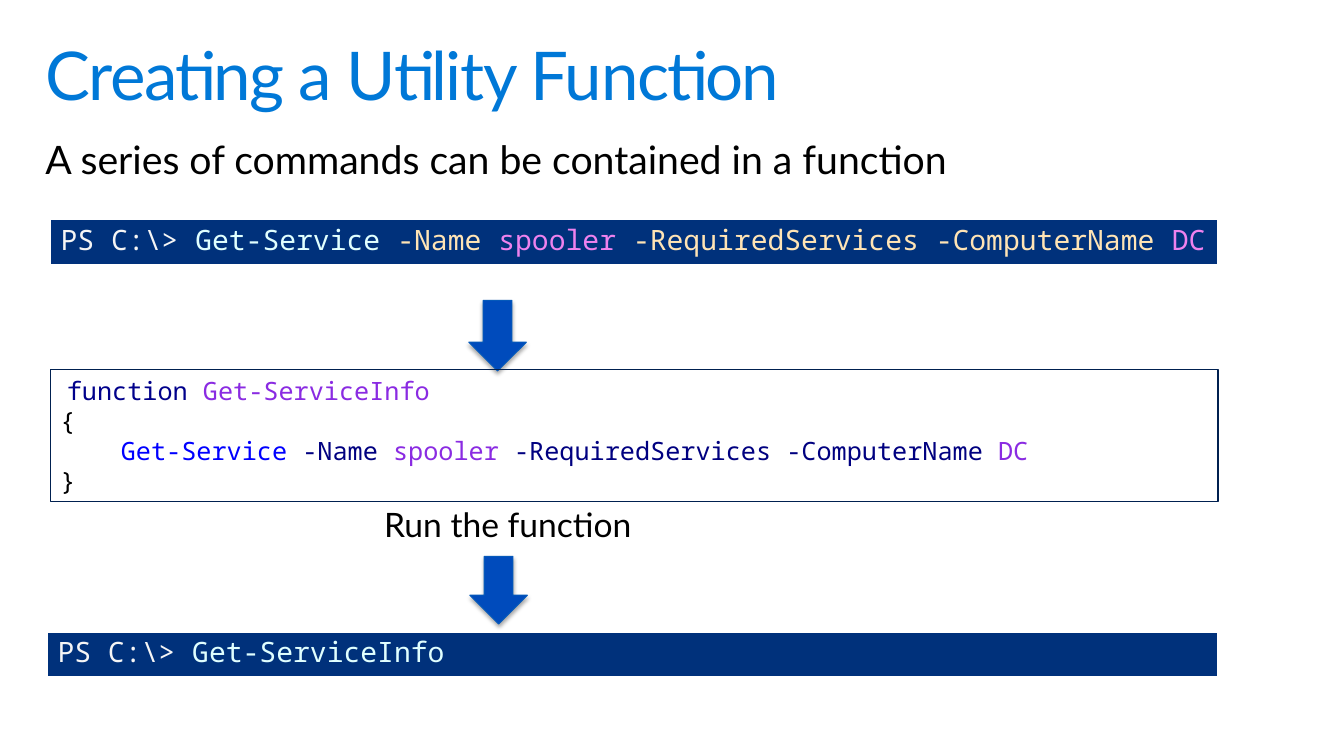
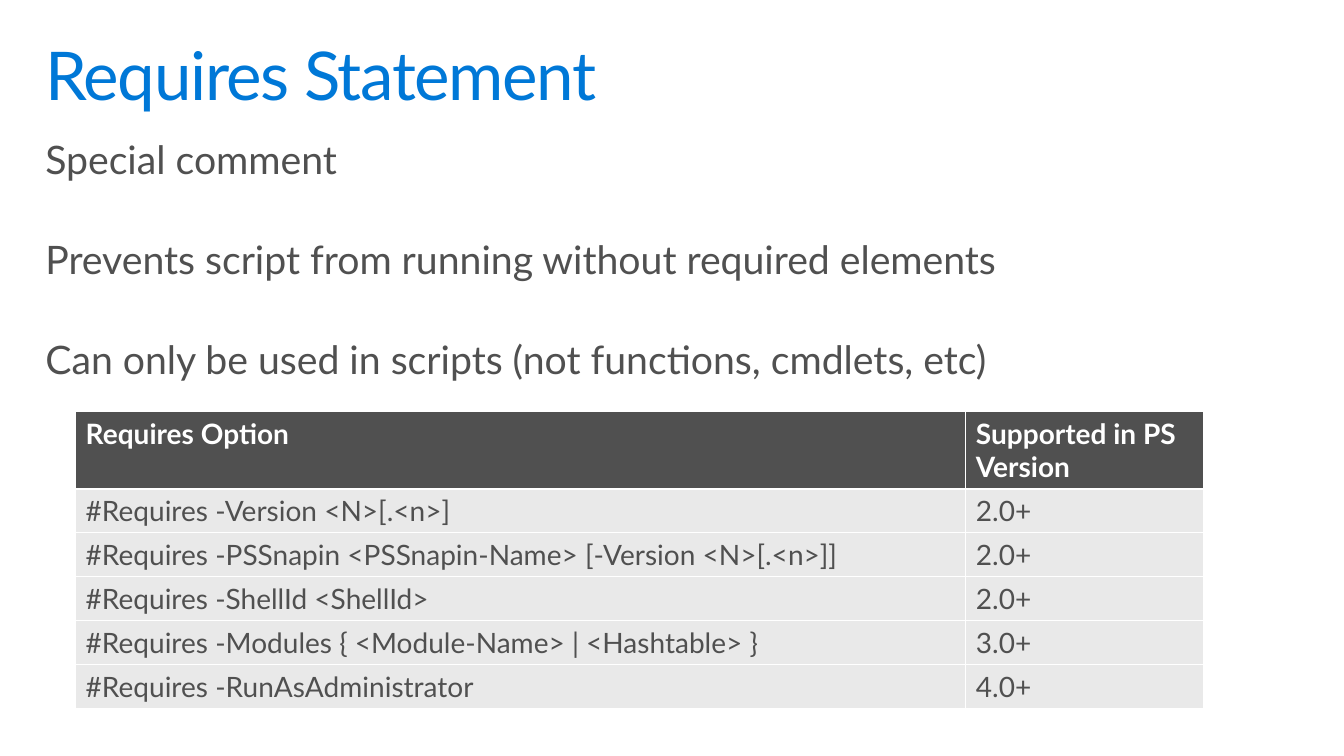
from lxml import etree
from pptx import Presentation
from pptx.dml.color import RGBColor
from pptx.enum.shapes import MSO_SHAPE
from pptx.enum.text import MSO_ANCHOR, MSO_AUTO_SIZE, PP_ALIGN
from pptx.oxml.ns import qn
from pptx.util import Inches, Pt

LEFT, TOP = PP_ALIGN.LEFT, MSO_ANCHOR.TOP
FIXED = MSO_AUTO_SIZE.NONE
RECT, ARROW = MSO_SHAPE.RECTANGLE, MSO_SHAPE.DOWN_ARROW

# Shared look
SANS, MONO = "Lato", "Noto Sans Mono"
WHITE = RGBColor(0xFF, 0xFF, 0xFF)
BLACK = RGBColor(0x00, 0x00, 0x00)
GRAY = RGBColor(0x50, 0x50, 0x50)
PALE = RGBColor(0xE9, 0xE9, 0xE9)
SKY = RGBColor(0x00, 0x78, 0xD7)
BLUE = RGBColor(0x00, 0x4B, 0xBC)
EDGE = RGBColor(0x05, 0x59, 0xBA)
FRAME = RGBColor(0x00, 0x20, 0x50)

# Console colours
SHELL = RGBColor(0x00, 0x31, 0x7B)
SMOKE = RGBColor(0xF5, 0xF5, 0xF5)
CYAN = RGBColor(0xE0, 0xFF, 0xFF)
CREAM = RGBColor(0xFF, 0xE4, 0xB5)
PINK = RGBColor(0xEE, 0x82, 0xEE)

# Script colours
WORD = RGBColor(0x00, 0x00, 0x8B)
CALL = RGBColor(0x00, 0x00, 0xFF)
FLAG = RGBColor(0x00, 0x00, 0x80)
VALUE = RGBColor(0x8A, 0x2B, 0xE2)

# Boxes are left, top, width, height in inches; parts are percentages of a box
PAGE = (0, 0, 13.33, 7.5)
HEAD = (2.18, 4.27, 95.65, 13.07)


def part(box, x, y, w, h):
    left, top, wide, high = box
    return (left + wide * x / 100, top + high * y / 100,
            wide * w / 100, high * h / 100)


def emu(box):
    return [Inches(side) for side in box]


def style(para, size, color, name=SANS, bold=False):
    font = para.font
    font.name, font.size, font.bold = name, Pt(size), bold
    font.color.rgb = color
    para.alignment = LEFT


def code(para, tokens, size):
    """Write (text, colour) tokens as one line of code."""
    for text, color in tokens:
        run = para.add_run()
        run.text = text
        run.font.color.rgb = color
    para.line_spacing = Pt(size * 1.2)
    style(para, size, BLACK, MONO)


def command(call, flag, value):
    return [("Get-Service ", call), ("-Name ", flag), ("spooler ", value),
            ("-RequiredServices -ComputerName ", flag), ("DC", value)]


# Title and body text
def fill(holder, box, lines, size, color, gap=0):
    holder.left, holder.top, holder.width, holder.height = emu(box)
    frame = holder.text_frame
    frame.word_wrap, frame.auto_size = True, FIXED
    frame.vertical_anchor = TOP
    frame.margin_left = frame.margin_right = Inches(0.16)
    frame.margin_top = frame.margin_bottom = Inches(0.1)
    frame.text = "\n".join(lines)
    for row, para in enumerate(frame.paragraphs):
        props = para._p.get_or_add_pPr()
        props.set("marL", "0")
        props.set("indent", "0")
        para.line_spacing = 0.9
        para.space_before = Pt(gap if row else 0)
        etree.SubElement(props, qn("a:buNone"))
        style(para, size, color)


def start(deck, title, lines, color, high):
    slide = deck.slides.add_slide(deck.slide_layouts[1])
    head, body = slide.placeholders
    fill(head, part(PAGE, *HEAD), [title], 48, SKY)
    for run in head.text_frame.paragraphs[0].runs:
        run._r.get_or_add_rPr().set("spc", "-100")
    fill(body, part(PAGE, 2.18, 17.33, 95.57, high), lines, 28, color, 41)
    return slide


# Shapes
def block(slide, kind, box, back=None, edge=None):
    shape = slide.shapes.add_shape(kind, *emu(box))
    shape.shadow.inherit = False
    if back is None:
        shape.fill.background()
    else:
        shape.fill.solid()
        shape.fill.fore_color.rgb = back
    if edge is None:
        shape.line.fill.background()
    else:
        shape.line.color.rgb = edge
        shape.line.width = Pt(0.75)
    shape.text_frame.word_wrap = True
    shape.text_frame.vertical_anchor = TOP
    return shape


def arrow(slide, box):
    shape = block(slide, ARROW, box, BLUE, EDGE)
    effects = shape._element.spPr.find(qn("a:effectLst"))
    shade = etree.SubElement(effects, qn("a:outerShdw"), blurRad=str(Pt(3.1)),
                             dist=str(Pt(1.8)), dir="5400000", rotWithShape="0")
    tint = etree.SubElement(shade, qn("a:srgbClr"), val="000000")
    etree.SubElement(tint, qn("a:alpha"), val="35000")


def label(slide, box, text):
    frame = block(slide, RECT, box, WHITE).text_frame
    frame.text = text
    style(frame.paragraphs[0], 24, BLACK)


def script(slide, box, lines):
    frame = block(slide, RECT, box, edge=FRAME).text_frame
    for row, tokens in enumerate(lines):
        para = frame.add_paragraph() if row else frame.paragraphs[0]
        code(para, tokens, 18)
    # The leading space is set in the narrower text font
    frame.paragraphs[0].runs[0].font.name = SANS


# Tables
def grid(slide, box, wides, highs):
    """Add a table whose columns and rows are percentages of its box."""
    table = slide.shapes.add_table(len(highs), len(wides), *emu(box)).table
    for col, share in zip(table.columns, wides):
        col.width = Inches(box[2] * share / 100)
    for row, share in zip(table.rows, highs):
        row.height = Inches(box[3] * share / 100)
    return table


def paint(cell, color):
    cell.fill.solid()
    cell.fill.fore_color.rgb = color


def prompt(slide, box, tokens):
    cell = grid(slide, box, [100], [100]).cell(0, 0)
    paint(cell, SHELL)
    code(cell.text_frame.paragraphs[0], [("PS C:\\> ", SMOKE)] + tokens, 20)


def options(slide, box, rows):
    highs = [26] + [14.8] * (len(rows) - 1)
    table = grid(slide, box, [78.9, 21.1], highs)
    for y, row in enumerate(rows):
        for x, text in enumerate(row):
            cell = table.cell(y, x)
            paint(cell, PALE if y else GRAY)
            cell.text = text
            style(cell.text_frame.paragraphs[0], 20,
                  GRAY if y else WHITE, bold=not y)


# From a command, through a function, to its call
def flow(slide, box):
    lines = [
        [(" ", GRAY), ("function ", WORD), ("Get-ServiceInfo", VALUE)],
        [("{", BLACK)],
        [("    ", BLACK)] + command(CALL, FLAG, VALUE),
        [("}", BLACK)],
    ]
    prompt(slide, part(box, 0, 90.29, 100, 9.71), [("Get-ServiceInfo", CYAN)])
    arrow(slide, part(box, 36.09, 73.73, 4.91, 14.79))
    label(slide, part(box, 27.91, 61.15, 25.15, 11.04), "Run the function")
    prompt(slide, part(box, 0.26, 0, 99.74, 9.71), command(CYAN, CREAM, PINK))
    arrow(slide, part(box, 36, 17.66, 4.91, 15.45))
    script(slide, part(box, 0.26, 32.89, 99.74, 28.92), lines)


def main():
    deck = Presentation()
    deck.slide_width, deck.slide_height = Inches(PAGE[2]), Inches(PAGE[3])

    slide = start(deck, "Creating a Utility Function",
                  ["A series of commands can be contained in a function"],
                  BLACK, 8.4)
    flow(slide, part(PAGE, 3.53, 29.07, 87.1, 60.4))

    slide = start(deck, "Requires Statement", [
        "Special comment",
        "Prevents script from running without required elements",
        "Can only be used in scripts (not functions, cmdlets, etc)",
    ], GRAY, 26.8)
    options(slide, part(PAGE, 5.63, 54.4, 83.95, 39.07), [
        ("Requires Option", "Supported in PS Version"),
        ("#Requires -Version <N>[.<n>]", "2.0+"),
        ("#Requires -PSSnapin <PSSnapin-Name> [-Version <N>[.<n>]]", "2.0+"),
        ("#Requires -ShellId <ShellId>", "2.0+"),
        ("#Requires -Modules { <Module-Name> | <Hashtable> }", "3.0+"),
        ("#Requires -RunAsAdministrator", "4.0+"),
    ])
    deck.save("out.pptx")


if __name__ == "__main__":
    main()
